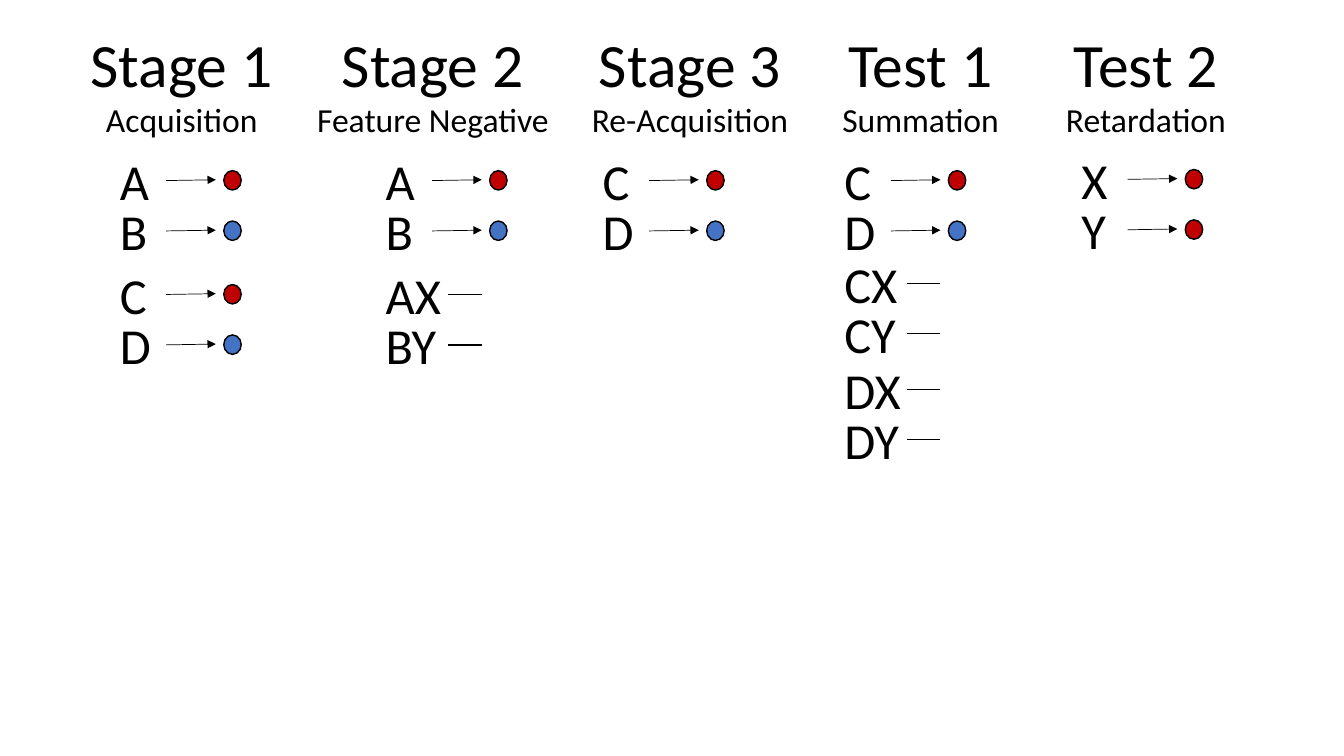
from pptx import Presentation
from pptx.dml.color import RGBColor
from pptx.enum.shapes import MSO_CONNECTOR, MSO_SHAPE
from pptx.enum.text import MSO_AUTO_SIZE, PP_ALIGN
from pptx.oxml.ns import qn
from pptx.util import Cm, Pt
from lxml.etree import SubElement

COLORS = {"ink": "000000", "red": "C00000", "blue": "4472C4"}
FONT = "Calibri"
ROW_PITCH = 1.27

PHASES = [
    {"name": ("Stage 1", 5.16), "purpose": ("Acquisition", 4.37),
     "center": 4.58, "left": 2.77,
     "pairs": [(3.66, [("A", "red"), ("B", "blue")]),
               (6.53, [("C", "red"), ("D", "blue")])]},
    {"name": ("Stage 2", 5.16), "purpose": ("Feature Negative", 6.43),
     "center": 10.91, "left": 9.47,
     "pairs": [(3.66, [("A", "red"), ("B", "blue")]),
               (6.53, [("AX", None), ("BY", None)])]},
    {"name": ("Stage 3", 5.16), "purpose": ("Re-Acquisition", 5.51),
     "center": 17.39, "left": 14.94,
     "pairs": [(3.66, [("C", "red"), ("D", "blue")])]},
    {"name": ("Test 1", 4.19), "purpose": ("Summation", 4.5),
     "center": 23.2, "left": 21.03,
     "pairs": [(3.66, [("C", "red"), ("D", "blue")]),
               (6.25, [("CX", None), ("CY", None)]),
               (8.92, [("DX", None), ("DY", None)])]},
    {"name": ("Test 2", 4.19), "purpose": ("Retardation", 4.6),
     "center": 28.88, "left": 27.0,
     "pairs": [(3.63, [("X", "red"), ("Y", "red")])]},
]


def rgb(name):
    """Return the named colour."""
    return RGBColor.from_string(COLORS[name])


def add_label(slide, words, left, top, width, height, size, heading=False):
    """Write one line of text; headings are centred and do not wrap."""
    label = slide.shapes.add_textbox(Cm(left), Cm(top), Cm(width), Cm(height))
    frame = label.text_frame
    frame.text = words
    frame.word_wrap = not heading
    frame.auto_size = MSO_AUTO_SIZE.SHAPE_TO_FIT_TEXT
    paragraph = frame.paragraphs[0]
    paragraph.alignment = PP_ALIGN.CENTER if heading else PP_ALIGN.LEFT
    font = paragraph.runs[0].font
    font.name, font.size = FONT, Pt(size)
    font.color.rgb = rgb("ink")


def add_link(slide, start, end, weight, arrow=False):
    """Draw a straight line, with an arrowhead at its end if asked."""
    link = slide.shapes.add_connector(
        MSO_CONNECTOR.STRAIGHT, *(Cm(value) for value in start + end))
    link.line.color.rgb = rgb("ink")
    link.line.width = Pt(weight)
    if arrow:
        SubElement(link.line._get_or_add_ln(), qn("a:tailEnd"), type="triangle")
    SubElement(link._element.spPr, qn("a:effectLst"))


def add_outcome(slide, left, top, color):
    """Draw the coloured dot that follows a cue."""
    outcome = slide.shapes.add_shape(
        MSO_SHAPE.OVAL, Cm(left), Cm(top), Cm(0.44), Cm(0.49))
    outcome.shadow.inherit = False
    outcome.fill.solid()
    outcome.fill.fore_color.rgb = rgb(color)
    outcome.line.color.rgb = rgb("ink")
    outcome.line.width = Pt(1)


def add_trial(slide, left, top, cue, color):
    """Place a cue with its arrow and outcome, or a dash for no outcome."""
    add_label(slide, cue, left, top, 1.63 if len(cue) == 1 else 2.24, 1.8, 36)
    end_x, line_y = left + 2.67, top + 0.89
    if color:
        add_link(slide, (left + 1.42, line_y), (end_x, line_y - 0.02), 0.5, True)
        add_outcome(slide, left + 2.87, top + 0.64, color)
    else:
        add_link(slide, (left + 1.83, line_y), (end_x, line_y), 1)


def add_heading(slide, center, top, phase):
    """Place the phase name and its purpose around a centre."""
    name, name_width = phase["name"]
    purpose, purpose_width = phase["purpose"]
    add_label(slide, name, center - name_width / 2, top,
              name_width, 2.13, 44, True)
    add_label(slide, purpose, center - purpose_width / 2, top + 1.83,
              purpose_width, 1.27, 24, True)


def add_phase(slide, phase):
    """Build one column: its heading and pairs of trials."""
    add_heading(slide, phase["center"], 0.53, phase)
    for top, trials in phase["pairs"]:
        for row, (cue, color) in enumerate(trials):
            add_trial(slide, phase["left"], top + row * ROW_PITCH, cue, color)


def build_design():
    """Build the slide of experimental phases and save it."""
    deck = Presentation()
    deck.slide_width, deck.slide_height = Cm(33.87), Cm(19.05)
    slide = deck.slides.add_slide(deck.slide_layouts.get_by_name("Blank"))
    for phase in PHASES:
        add_phase(slide, phase)
    deck.save("out.pptx")


build_design()
